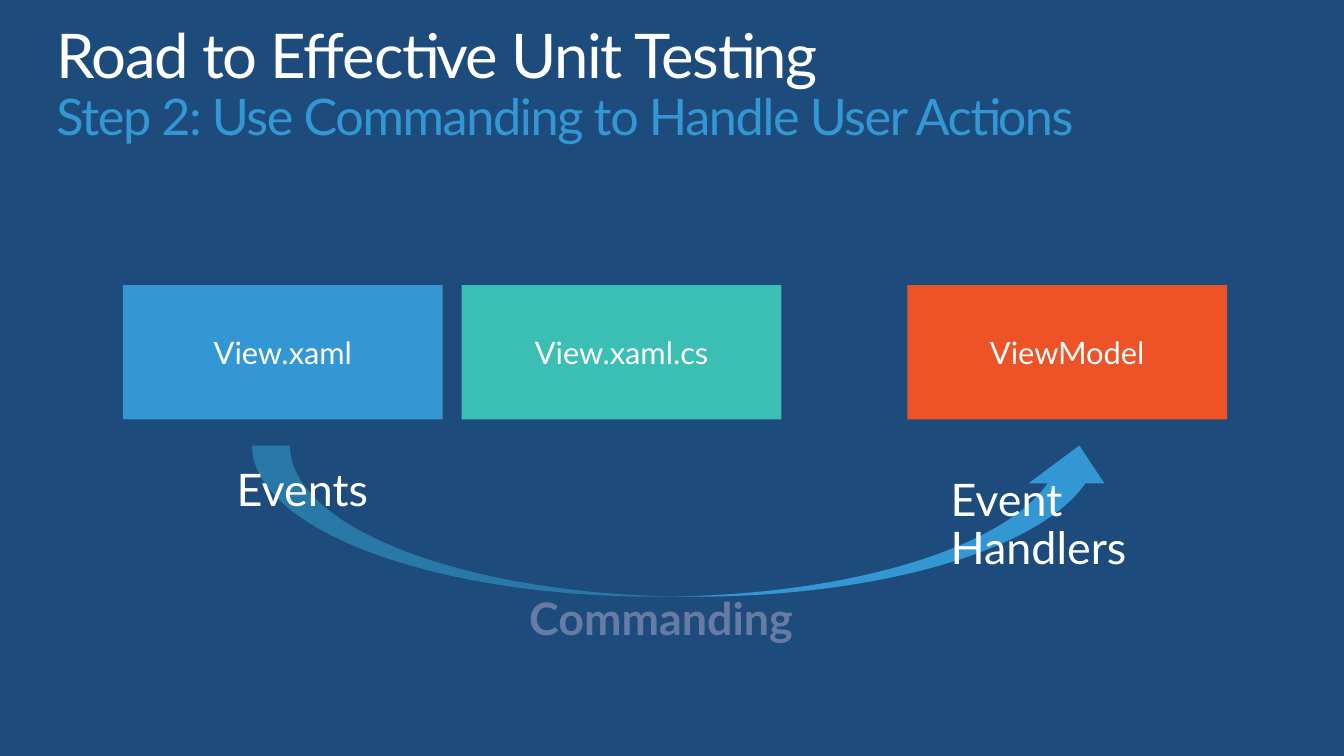
from pptx import Presentation
from pptx.dml.color import RGBColor
from pptx.enum.shapes import MSO_SHAPE
from pptx.enum.text import MSO_ANCHOR, MSO_AUTO_SIZE, PP_ALIGN
from pptx.util import Inches, Pt

NAVY = RGBColor(0x1D, 0x4C, 0x7C)
BLUE = RGBColor(0x33, 0x97, 0xD3)
TEAL = RGBColor(0x3B, 0xBE, 0xB4)
ORANGE = RGBColor(0xED, 0x53, 0x26)
SLATE = RGBColor(0x67, 0x7C, 0xA5)
WHITE = RGBColor(0xFF, 0xFF, 0xFF)


class SlideBuilder:
    """Holds the text style and the slide being filled."""

    font = "Lato"
    line_spacing = 0.9

    def __init__(self, deck):
        self.page = deck.slides.add_slide(deck.slide_layouts[5])
        fill = self.page.background.fill
        fill.solid()
        fill.fore_color.rgb = NAVY

    def span(self, para, text, size, color=WHITE, bold=False):
        span = para.add_run()
        span.text = text
        span.font.name = self.font
        span.font.size = Pt(size)
        span.font.bold = bold
        span.font.color.rgb = color
        return span

    def frame(self, box, margin):
        """Prepare a left-aligned, top-anchored frame and return its paragraph."""
        frame = box.text_frame
        frame.word_wrap = True
        frame.auto_size = MSO_AUTO_SIZE.SHAPE_TO_FIT_TEXT
        frame.vertical_anchor = MSO_ANCHOR.TOP
        frame.margin_left = frame.margin_right = Inches(margin)
        frame.margin_top = frame.margin_bottom = Inches(margin)
        para = frame.paragraphs[0]
        para.alignment = PP_ALIGN.LEFT
        para.line_spacing = self.line_spacing
        return para

    def title(self, heading, subheading):
        box = self.page.shapes.title
        box.left, box.top = Inches(0.56), Inches(0.25)
        box.width, box.height = Inches(12.22), Inches(1.21)
        para = self.frame(box, 0)
        spans = [self.span(para, heading, 44)]
        para.add_line_break()
        spans.append(self.span(para, subheading, 36, BLUE))
        for span in spans:
            span.font._element.set("spc", "-100")

    def shape(self, kind, left, top, width, height, color):
        shape = self.page.shapes.add_shape(
            kind, Inches(left), Inches(top), Inches(width), Inches(height))
        shape.shadow.inherit = False
        shape.fill.solid()
        shape.fill.fore_color.rgb = color
        shape.line.fill.background()
        return shape

    def block(self, text, left, color):
        box = self.shape(MSO_SHAPE.ROUNDED_RECTANGLE, left, 2.83, 3.17, 1.33, color)
        box.adjustments[0] = 0
        box.text_frame.word_wrap = True
        box.text_frame.vertical_anchor = MSO_ANCHOR.MIDDLE
        para = box.text_frame.paragraphs[0]
        para.alignment = PP_ALIGN.CENTER
        self.span(para, text, 22)

    def label(self, text, left, top, width, height, color=WHITE, bold=False):
        box = self.page.shapes.add_textbox(
            Inches(left), Inches(top), Inches(width), Inches(height))
        self.span(self.frame(box, 0.1), text, 32, color, bold)


def main():
    deck = Presentation()
    deck.slide_width, deck.slide_height = Inches(13.33), Inches(7.5)
    builder = SlideBuilder(deck)
    builder.title("Road to Effective Unit Testing",
                  "Step 2: Use Commanding to Handle User Actions")
    for text, left, color in (("View.xaml", 1.22, BLUE),
                              ("View.xaml.cs", 4.58, TEAL),
                              ("ViewModel", 9, ORANGE)):
        builder.block(text, left, color)
    builder.shape(MSO_SHAPE.CURVED_UP_ARROW, 2.5, 4.42, 8.58, 1.5, BLUE)
    builder.label("Events", 2.25, 4.54, 2.14, 0.69)
    builder.label("Event Handlers", 9.33, 4.64, 2.14, 1.17)
    builder.label("Commanding", 5.15, 5.82, 3.33, 0.69, SLATE, bold=True)
    deck.save("out.pptx")


if __name__ == "__main__":
    main()
